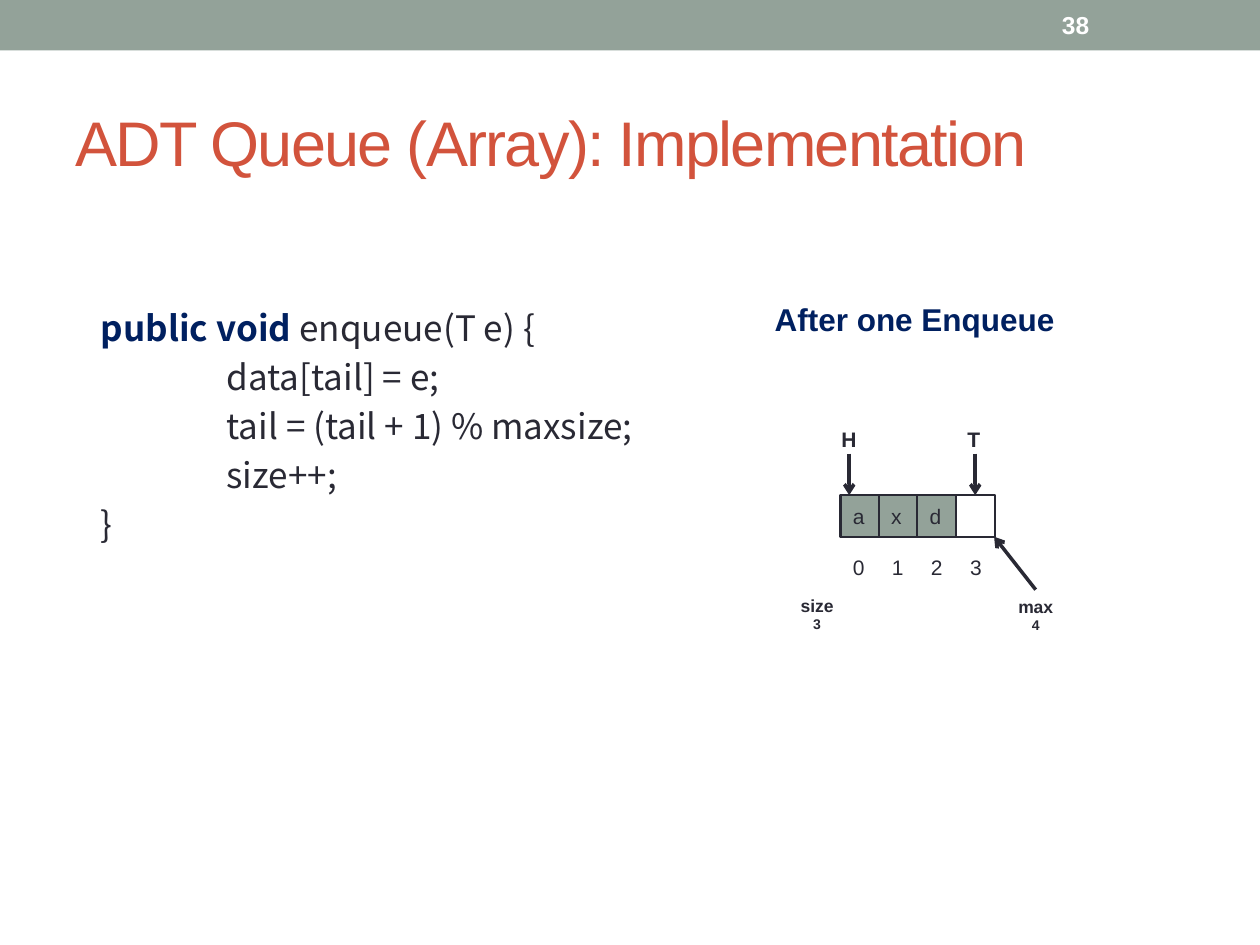
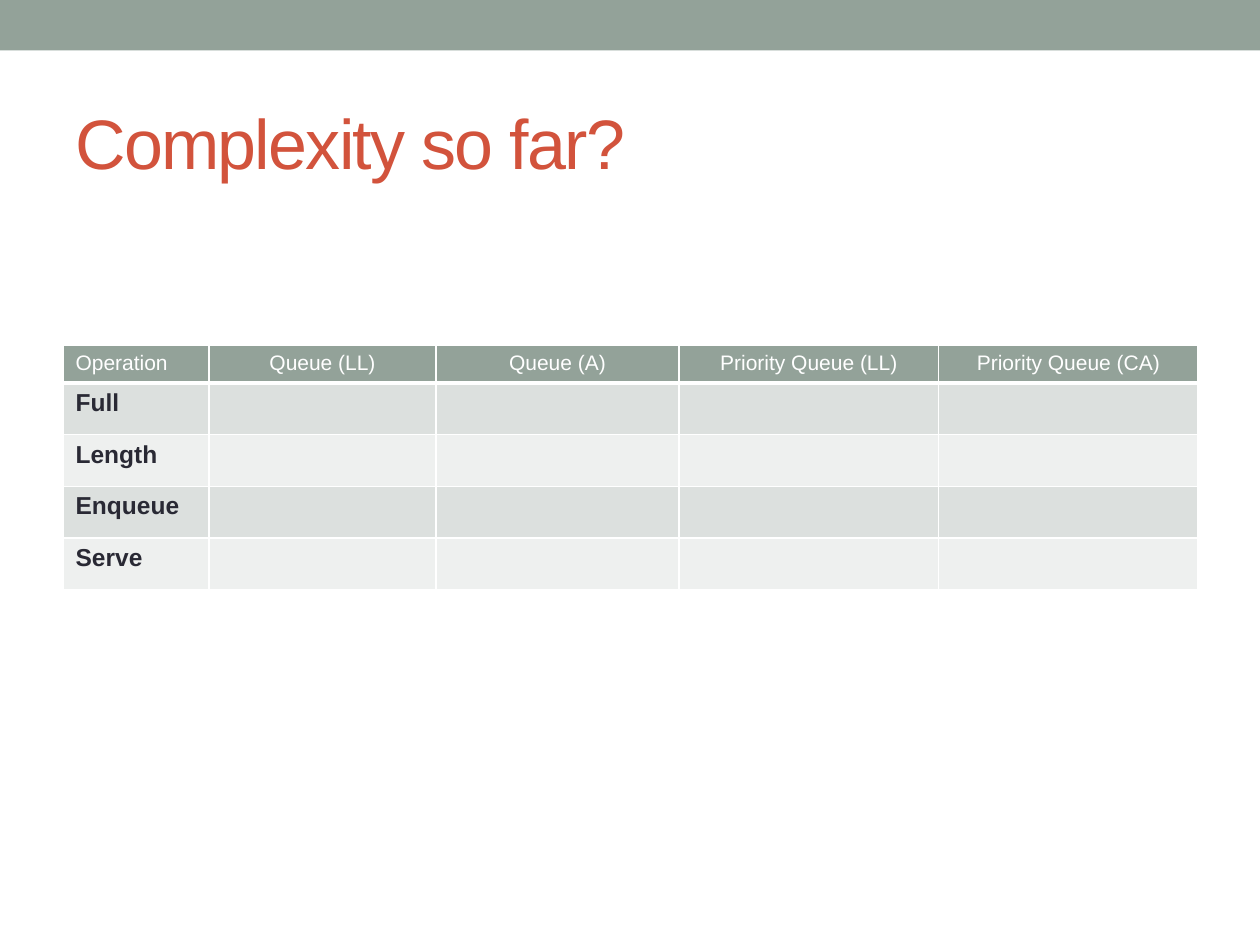
import pptx
import pptx.dml.color
import pptx.enum.shapes
import pptx.enum.text
import pptx.oxml
import pptx.oxml.ns
import pptx.util
from lxml import etree

Inches = pptx.util.Inches
Pt = pptx.util.Pt
ANCHOR = pptx.enum.text.MSO_ANCHOR
ALIGN = pptx.enum.text.PP_ALIGN
qn = pptx.oxml.ns.qn

COLORS = {
    "band": "93A299",
    "title": "D2533C",
    "ink": "292934",
    "navy": "002060",
    "white": "FFFFFF",
    "row_dark": "DCE0DE",
    "row_light": "EEF0EF",
}
FONT = "Arial"
CODE_FONT = "Noto Sans CJK SC"
CELL_STEP = 0.305


def rgb(name):
    """Return the named colour."""
    return pptx.dml.color.RGBColor.from_string(COLORS[name])


def style_run(r, size, color="ink", bold=False, font=FONT):
    """Format one run."""
    r.font.size = Pt(size)
    r.font.bold = bold
    r.font.name = font
    r.font.color.rgb = rgb(color)


def add_text(slide, box, lines, sizes, color="ink", bold=False,
             align=ALIGN.LEFT, anchor=ANCHOR.TOP, wrap=False):
    """Add a text box with one paragraph per line and one size per line."""
    sp = slide.shapes.add_textbox(*map(Inches, box))
    tf = sp.text_frame
    tf.word_wrap = wrap
    tf.vertical_anchor = anchor
    tf.text = "\n".join(lines)
    for p, size in zip(tf.paragraphs, sizes):
        p.alignment = align
        style_run(p.runs[0], size, color, bold)
    return sp


def add_rect(slide, box, fill, line=None):
    """Add a flat rectangle, outlined only when a line colour is given."""
    sp = slide.shapes.add_shape(pptx.enum.shapes.MSO_SHAPE.RECTANGLE,
                                *map(Inches, box))
    sp.shadow.inherit = False
    sp.fill.solid()
    sp.fill.fore_color.rgb = rgb(fill)
    if line:
        sp.line.color.rgb = rgb(line)
        sp.line.width = Pt(1.25)
    else:
        sp.line.fill.background()


def add_arrow(slide, x1, y1, x2, y2):
    """Add a straight line with an open arrowhead at its end."""
    line = slide.shapes.add_connector(
        pptx.enum.shapes.MSO_CONNECTOR.STRAIGHT,
        *map(Inches, (x1, y1, x2, y2)))
    line.line.color.rgb = rgb("ink")
    line.line.width = Pt(2)
    etree.SubElement(line.line._get_or_add_ln(), qn("a:tailEnd"), type="arrow")
    etree.SubElement(line._element.spPr, qn("a:effectLst"))


def add_slide(prs, title, size):
    """Add a blank slide with the top band and the title."""
    slide = prs.slides.add_slide(prs.slide_layouts[6])
    add_rect(slide, (0, 0, 10, 0.4), "band")
    sp = add_text(slide, (0.5, 0.58, 9, 1.08), [title], [size], "title",
                  anchor=ANCHOR.MIDDLE, wrap=True)
    sp.text_frame.paragraphs[0].runs[0].font._element.set("spc", "-100")
    return slide


def add_code(slide):
    """Add the enqueue method, its body indented by one inch."""
    lines = [
        (0.2, "public void ", "enqueue(T e) {"),
        (1.2, "", "data[tail] = e;"),
        (1.2, "", "tail = (tail + 1) % maxsize;"),
        (1.2, "", "size++;"),
        (0.2, "", "}"),
    ]
    sp = slide.shapes.add_textbox(*map(Inches, (0.5, 1.58, 8.58, 4.58)))
    tf = sp.text_frame
    tf.word_wrap = True
    tf.margin_top = Inches(0.8)
    for i, (indent, keyword, code) in enumerate(lines):
        p = tf.add_paragraph() if i else tf.paragraphs[0]
        p.line_spacing = Pt(28)
        p._p.get_or_add_pPr().set("marL", str(Inches(indent)))
        for text, color, bold in ((keyword, "navy", True),
                                  (code, "ink", False)):
            if text:
                r = p.add_run()
                r.text = text
                style_run(r, 20, color, bold, CODE_FONT)


def add_queue(slide):
    """Draw the array with its contents, indices, pointers and sizes."""
    for i, value in enumerate(["a", "x", "d", ""]):
        x = 6.67 + i * CELL_STEP
        add_rect(slide, (x, 3.93, 0.31, 0.33),
                 "band" if value else "white", "ink")
        if value:
            add_text(slide, (x, 3.95, 0.3, 0.3), [value], [12])
        add_text(slide, (6.67 + i * 0.31, 4.35, 0.31, 0.3), [str(i)], [12])
    for label, label_x, arrow_x in (("H", 6.58, 6.74), ("T", 7.58, 7.74)):
        add_text(slide, (label_x, 3.34, 0.32, 0.3), [label], [12], bold=True)
        add_arrow(slide, arrow_x, 3.6, arrow_x, 3.93)
    for label, value, x, y, width in (("size", "3", 6.25, 4.67, 0.47),
                                      ("max", "4", 7.97, 4.68, 0.5)):
        add_text(slide, (x, y, width, 0.4), [label, value], [10, 8],
                 bold=True, align=ALIGN.CENTER)
    add_arrow(slide, 8.22, 4.68, 7.89, 4.26)


def set_borders(cell, bottom):
    """Give a cell white borders, with its own width at the bottom."""
    tcPr = cell._tc.get_or_add_tcPr()
    widths = {"lnL": 1, "lnR": 1, "lnT": 1, "lnB": bottom}
    for i, (side, width) in enumerate(widths.items()):
        ln = etree.Element(qn("a:" + side), w=str(Pt(width)))
        fill = etree.SubElement(ln, qn("a:solidFill"))
        etree.SubElement(fill, qn("a:srgbClr"), val=COLORS["white"])
        tcPr.insert(i, ln)


def add_complexity_table(slide):
    """Add the table of operations against queue types."""
    header = ["Operation", "Queue (LL)", "Queue (A)",
              "Priority Queue (LL)", "Priority Queue (CA)"]
    operations = ["Full", "Length", "Enqueue", "Serve"]
    rows = [header] + [[name, "", "", "", ""] for name in operations]
    table = slide.shapes.add_table(
        len(rows), len(header),
        *map(Inches, (0.5, 2.74, 9, 1.92))).table
    for col, width in zip(table.columns, (1.16, 1.8, 1.93, 2.06, 2.06)):
        col.width = Inches(width)
    for i, row in enumerate(rows):
        table.rows[i].height = Inches(0.41 if i else 0.3)
        fill = ("row_dark" if i % 2 else "row_light") if i else "band"
        for j, text in enumerate(row):
            cell = table.cell(i, j)
            cell.fill.solid()
            cell.fill.fore_color.rgb = rgb(fill)
            set_borders(cell, 1 if i else 3)
            if not text:
                continue
            cell.text = text
            p = cell.text_frame.paragraphs[0]
            p.alignment = ALIGN.CENTER if j else ALIGN.LEFT
            if i:
                style_run(p.runs[0], 14, bold=True)
            else:
                style_run(p.runs[0], 12, "white")


def main():
    """Build both slides and save them."""
    prs = pptx.Presentation()
    prs.slide_width, prs.slide_height = Inches(10), Inches(7.5)

    slide = add_slide(prs, "ADT Queue (Array): Implementation", 36)
    add_text(slide, (8.33, 0.02, 1.17, 0.36), ["38"], [14], "white", True,
             anchor=ANCHOR.MIDDLE, wrap=True)
    add_code(slide)
    add_text(slide, (6.05, 2.33, 2.47, 0.4), ["After one Enqueue"], [18],
             "navy", True)
    add_queue(slide)

    slide = add_slide(prs, "Complexity so far?", 40)
    add_complexity_table(slide)

    prs.save("out.pptx")


main()
